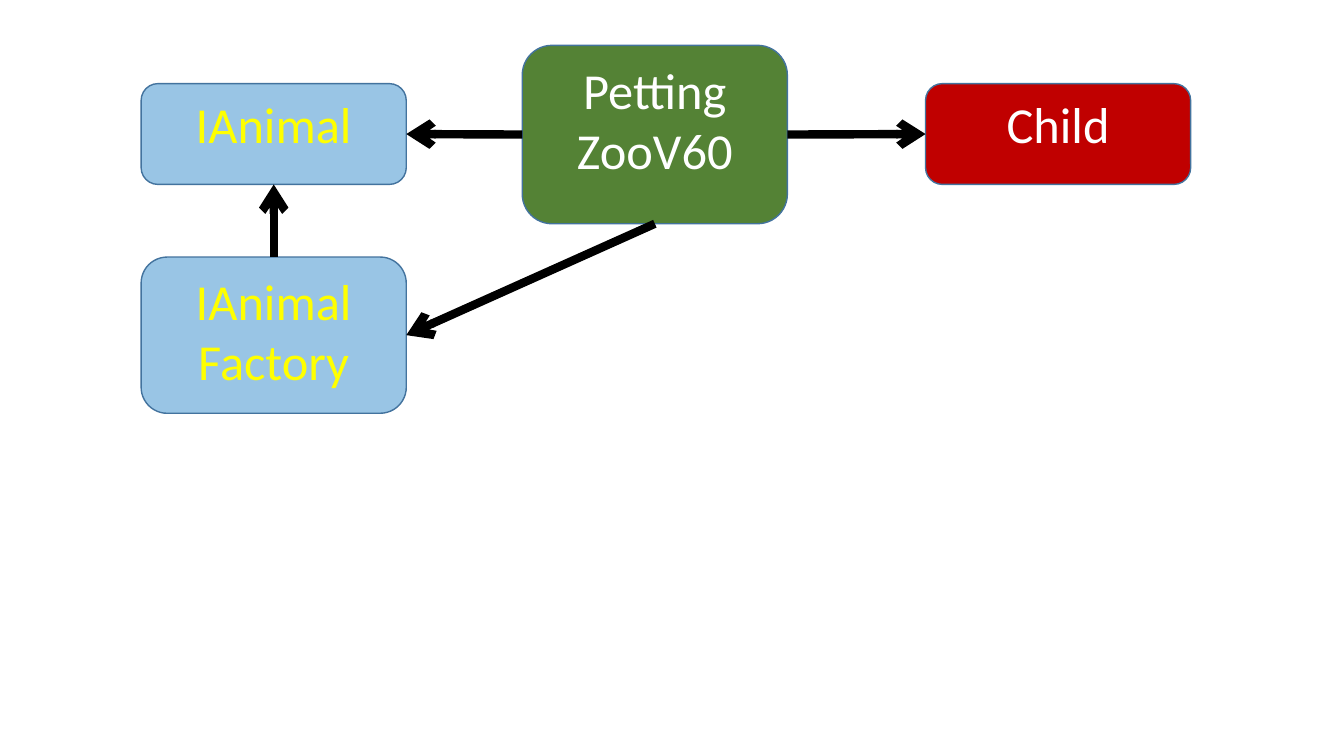
from lxml.etree import SubElement
from pptx import Presentation
from pptx.dml.color import RGBColor
from pptx.enum.shapes import MSO_CONNECTOR, MSO_SHAPE
from pptx.enum.text import MSO_ANCHOR, PP_ALIGN
from pptx.oxml.ns import qn
from pptx.util import Inches, Pt

TOP, LEFT, BOTTOM, RIGHT = range(4)


def rgb(value):
    """Turn a hex string into a colour."""
    return RGBColor.from_string(value)


class ClassDiagram:
    """Draws class boxes and arrows on one slide in a shared style."""

    font = "Calibri"
    text_size = Pt(36)
    box_width = 2.63
    outline = "43739E"
    arrow_color = "000000"

    def __init__(self, slide):
        """Keep the slide to draw on."""
        self.slide = slide

    def box(self, left, top, height, lines, fill, color, opacity=100):
        """Add a rounded class box with one paragraph per line."""
        shape = self.slide.shapes.add_shape(
            MSO_SHAPE.ROUNDED_RECTANGLE,
            Inches(left), Inches(top), Inches(self.box_width), Inches(height))
        shape.shadow.inherit = False
        shape.fill.solid()
        shape.fill.fore_color.rgb = rgb(fill)
        if opacity < 100:
            fill_color = shape.fill._xPr.find(qn("a:solidFill"))[0]
            SubElement(fill_color, qn("a:alpha"), val=str(opacity * 1000))
        shape.line.color.rgb = rgb(self.outline)
        shape.line.width = Pt(1)
        frame = shape.text_frame
        frame.word_wrap = True
        frame.vertical_anchor = MSO_ANCHOR.TOP
        frame.text = "\n".join(lines)
        for paragraph in frame.paragraphs:
            paragraph.alignment = PP_ALIGN.CENTER
            paragraph.font.name = self.font
            paragraph.font.size = self.text_size
            paragraph.font.color.rgb = rgb(color)
        return shape

    def arrow(self, source, source_side, target, target_side):
        """Join two boxes with an arrow pointing at the target."""
        connector = self.slide.shapes.add_connector(
            MSO_CONNECTOR.STRAIGHT, 0, 0, 0, 0)
        connector.begin_connect(source, source_side)
        connector.end_connect(target, target_side)
        connector.line.color.rgb = rgb(self.arrow_color)
        connector.line.width = Pt(6)
        SubElement(connector.line._get_or_add_ln(), qn("a:tailEnd"), type="arrow")
        SubElement(connector._element.spPr, qn("a:effectLst"))


def main():
    """Build the petting zoo class diagram."""
    presentation = Presentation()
    presentation.slide_width = Inches(13.33)
    presentation.slide_height = Inches(7.5)
    diagram = ClassDiagram(
        presentation.slides.add_slide(presentation.slide_layouts[6]))

    child = diagram.box(9.18, 0.83, 1, ["Child"], "C00000", "FFFFFF")
    zoo = diagram.box(5.18, 0.45, 1.77, ["Petting", "ZooV60"], "548235", "FFFFFF")
    animal = diagram.box(1.4, 0.83, 1, ["IAnimal"], "0070C0", "FFFF00", 40)
    factory = diagram.box(
        1.4, 2.55, 1.55, ["IAnimal", "Factory"], "0070C0", "FFFF00", 40)

    diagram.arrow(zoo, RIGHT, child, LEFT)
    diagram.arrow(zoo, LEFT, animal, RIGHT)
    diagram.arrow(factory, TOP, animal, BOTTOM)
    diagram.arrow(zoo, BOTTOM, factory, RIGHT)

    presentation.save("out.pptx")


if __name__ == "__main__":
    main()
